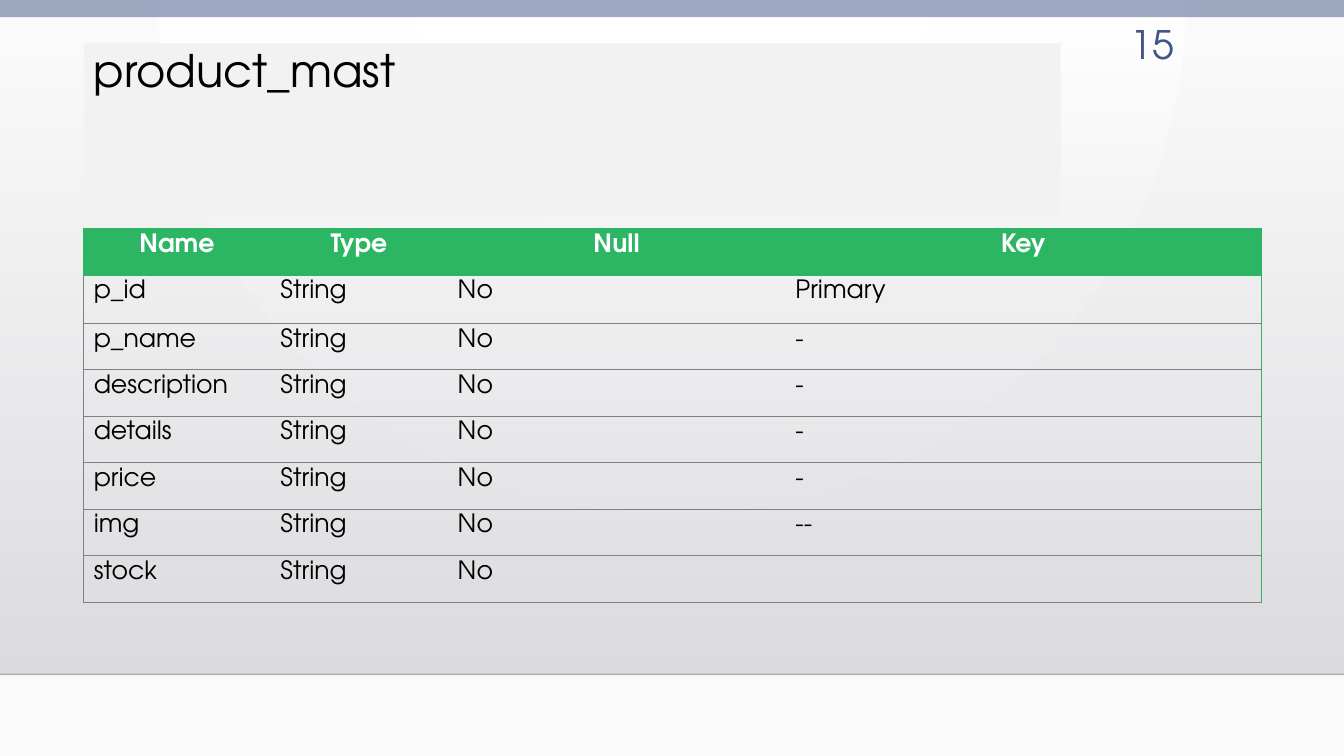
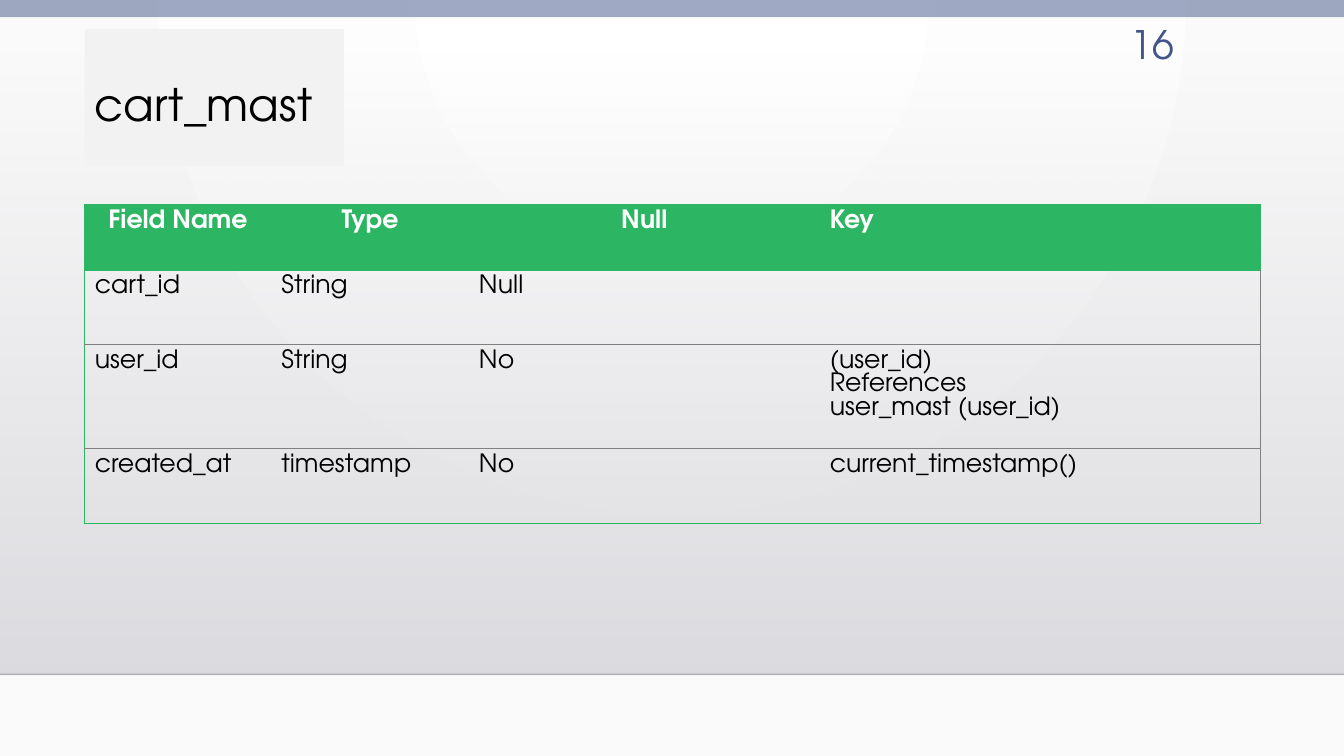
import pptx
import pptx.util
import pptx.dml.color
import pptx.enum.shapes
import pptx.enum.text
import pptx.oxml
import pptx.oxml.ns
from dataclasses import dataclass

Inches = pptx.util.Inches
Pt = pptx.util.Pt
CENTER = pptx.enum.text.PP_ALIGN.CENTER
LEFT = pptx.enum.text.PP_ALIGN.LEFT
RIGHT = pptx.enum.text.PP_ALIGN.RIGHT


@dataclass(frozen=True)
class Theme:
    font: str = "TeX Gyre Adventor"
    title_size: int = 32
    number_size: int = 28
    table_size: int = 18
    table_leading: float = 16.8
    text: str = "000000"
    white: str = "FFFFFF"
    accent: str = "415588"
    green: str = "2CB663"
    rule: str = "808080"
    title_fill: str = "F2F2F2"
    backdrop: tuple = ("FFFFFF", "FAFAFA")
    panel: tuple = ("DCDCE0", "DEDEE2")
    footer_line: str = "000001"


THEME = Theme()
WIDTH, HEIGHT = 13.33, 7.5
FLOOR = 6.69

SLIDES = [
    {
        "number": "15",
        "title": "product_mast",
        "title_box": (0.83, 0.43, 9.69, 1.72),
        "title_inset": 0.05,
        "table_at": (0.83, 2.27),
        "columns": [1.85, 1.76, 3.35, 4.72],
        "heights": [0.46, 0.48, 0.46, 0.46, 0.46, 0.46, 0.46, 0.47],
        "header_alignment": [CENTER, CENTER, CENTER, CENTER],
        "edges": {"L": THEME.rule, "R": THEME.green, "B": THEME.rule},
        "rows": [
            ("Name", "Type", "Null", "Key"),
            ("p_id", "String", "No", "Primary"),
            ("p_name", "String", "No", "-"),
            ("description", "String", "No", "-"),
            ("details", "String", "No", "-"),
            ("price", "String", "No", "-"),
            ("img", "String", "No", "--"),
            ("stock", "String", "No", ""),
        ],
    },
    {
        "number": "16",
        "title": "cart_mast",
        "title_box": (0.84, 0.29, 2.57, 1.36),
        "title_inset": 0.53,
        "table_at": (0.84, 2.03),
        "columns": [1.85, 1.96, 3.48, 4.37],
        "heights": [0.65, 0.74, 1.03, 0.74],
        "header_alignment": [CENTER, CENTER, CENTER, LEFT],
        "edges": {"L": THEME.green, "R": THEME.rule, "B": THEME.green},
        "rows": [
            ("Field Name", "Type", "Null", "Key"),
            ("cart_id", "String", "Null", ""),
            ("user_id", "String", "No", "(user_id)\nReferences\nuser_mast (user_id)"),
            ("created_at", "timestamp", "No", "current_timestamp()"),
        ],
    },
]


def rgb(value):
    return pptx.dml.color.RGBColor.from_string(value)


def add_child(parent, tag, **attributes):
    child = pptx.oxml.parse_xml(f"<{tag} {pptx.oxml.ns.nsdecls('a')}/>")
    for name, value in attributes.items():
        child.set(name, str(value))
    parent.append(child)
    return child


def find(element, tag):
    return element.find(".//" + pptx.oxml.ns.qn(tag))


def set_alpha(color_element, percent):
    add_child(color_element, "a:alpha", val=percent * 1000)


def set_gradient(fill, colors):
    fill.gradient()
    for stop, color in zip(fill.gradient_stops, colors):
        stop.color.rgb = rgb(color)


def style_paragraph(paragraph, size, color, alignment=LEFT, bold=False):
    paragraph.alignment = alignment
    paragraph.font.name = THEME.font
    paragraph.font.size = Pt(size)
    paragraph.font.color.rgb = rgb(color)
    paragraph.font.bold = bold


def add_band(slide, top, height):
    band = slide.shapes.add_shape(
        pptx.enum.shapes.MSO_SHAPE.RECTANGLE,
        0, Inches(top), Inches(WIDTH), Inches(height))
    band.shadow.inherit = False
    band.line.fill.background()
    return band


def decorate_layout(layout, slide):
    set_gradient(layout.background.fill, THEME.backdrop)
    gradient = find(layout.element, "a:gradFill")
    gradient.remove(find(gradient, "a:lin"))
    circle = add_child(gradient, "a:path", path="circle")
    add_child(circle, "a:fillToRect", l=43000, t=0, r=43000, b=100000)

    panel = add_band(slide, 0.51, FLOOR - 0.51)
    set_gradient(panel.fill, THEME.panel)
    panel.fill.gradient_angle = 270
    set_alpha(find(panel.element, "a:srgbClr"), 0)

    line = slide.shapes.add_connector(
        pptx.enum.shapes.MSO_CONNECTOR.STRAIGHT,
        0, Inches(FLOOR), Inches(WIDTH), Inches(FLOOR))
    line.line.width = Pt(1)
    line.line.color.rgb = rgb(THEME.footer_line)
    set_alpha(find(line.element, "a:srgbClr"), 20)
    add_child(find(line.element, "p:spPr"), "a:effectLst")

    top_band = add_band(slide, 0, 0.17)
    top_band.fill.solid()
    top_band.fill.fore_color.rgb = rgb(THEME.accent)
    set_alpha(find(top_band.element, "a:srgbClr"), 50)

    for shape in (panel, line, top_band):
        layout.shapes.element.append(shape.element)


def add_text(slide, box, text, size, color, alignment=LEFT):
    shape = slide.shapes.add_textbox(*map(Inches, box))
    shape.text_frame.word_wrap = True
    shape.text_frame.text = text
    style_paragraph(shape.text_frame.paragraphs[0], size, color, alignment)
    return shape


def add_title(slide, content):
    title = add_text(slide, content["title_box"], content["title"],
                     THEME.title_size, THEME.text)
    title.fill.solid()
    title.fill.fore_color.rgb = rgb(THEME.title_fill)
    title.text_frame.margin_top = Inches(content["title_inset"])
    title.text_frame.paragraphs[0].line_spacing = 0.9


def set_borders(cell, colors):
    properties = cell._tc.get_or_add_tcPr()
    for side in "LRTB":
        border = add_child(properties, f"a:ln{side}", w=Pt(0.75))
        if side in colors:
            add_child(add_child(border, "a:solidFill"), "a:srgbClr", val=colors[side])
        else:
            add_child(border, "a:noFill")


def cell_borders(row, column, last_row, last_column, edges):
    if row == 0:
        borders = {"T": THEME.green, "B": THEME.green}
    else:
        borders = {"T": THEME.green if row == 1 else THEME.rule,
                   "B": edges["B"] if row == last_row else THEME.rule}
    if column == 0:
        borders["L"] = edges["L"] if row else THEME.green
    if column == last_column:
        borders["R"] = edges["R"] if row else THEME.green
    return borders


def add_field_table(slide, content):
    rows, columns, heights = content["rows"], content["columns"], content["heights"]
    left, top = content["table_at"]
    table = slide.shapes.add_table(
        len(rows), len(columns), Inches(left), Inches(top),
        Inches(sum(columns)), Inches(sum(heights))).table
    table.horz_banding = False
    for column, width in zip(table.columns, columns):
        column.width = Inches(width)
    for row, height in zip(table.rows, heights):
        row.height = Inches(height)

    for row_index, values in enumerate(rows):
        header = row_index == 0
        for column_index, value in enumerate(values):
            cell = table.cell(row_index, column_index)
            set_borders(cell, cell_borders(row_index, column_index, len(rows) - 1,
                                           len(columns) - 1, content["edges"]))
            if header:
                cell.fill.solid()
                cell.fill.fore_color.rgb = rgb(THEME.green)
            else:
                cell.fill.background()
            cell.text_frame.text = value
            for paragraph in cell.text_frame.paragraphs:
                paragraph.line_spacing = Pt(THEME.table_leading)
                style_paragraph(
                    paragraph, THEME.table_size,
                    THEME.white if header else THEME.text,
                    content["header_alignment"][column_index] if header else LEFT,
                    header)


def main():
    presentation = pptx.Presentation()
    presentation.slide_width = Inches(WIDTH)
    presentation.slide_height = Inches(HEIGHT)
    layout = presentation.slide_layouts[6]
    slides = [presentation.slides.add_slide(layout) for _ in SLIDES]
    decorate_layout(layout, slides[0])
    for slide, content in zip(slides, SLIDES):
        add_title(slide, content)
        add_field_table(slide, content)
        add_text(slide, (10.85, 0.15, 0.89, 0.55), content["number"],
                 THEME.number_size, THEME.accent, RIGHT)
    presentation.save("out.pptx")


if __name__ == "__main__":
    main()
